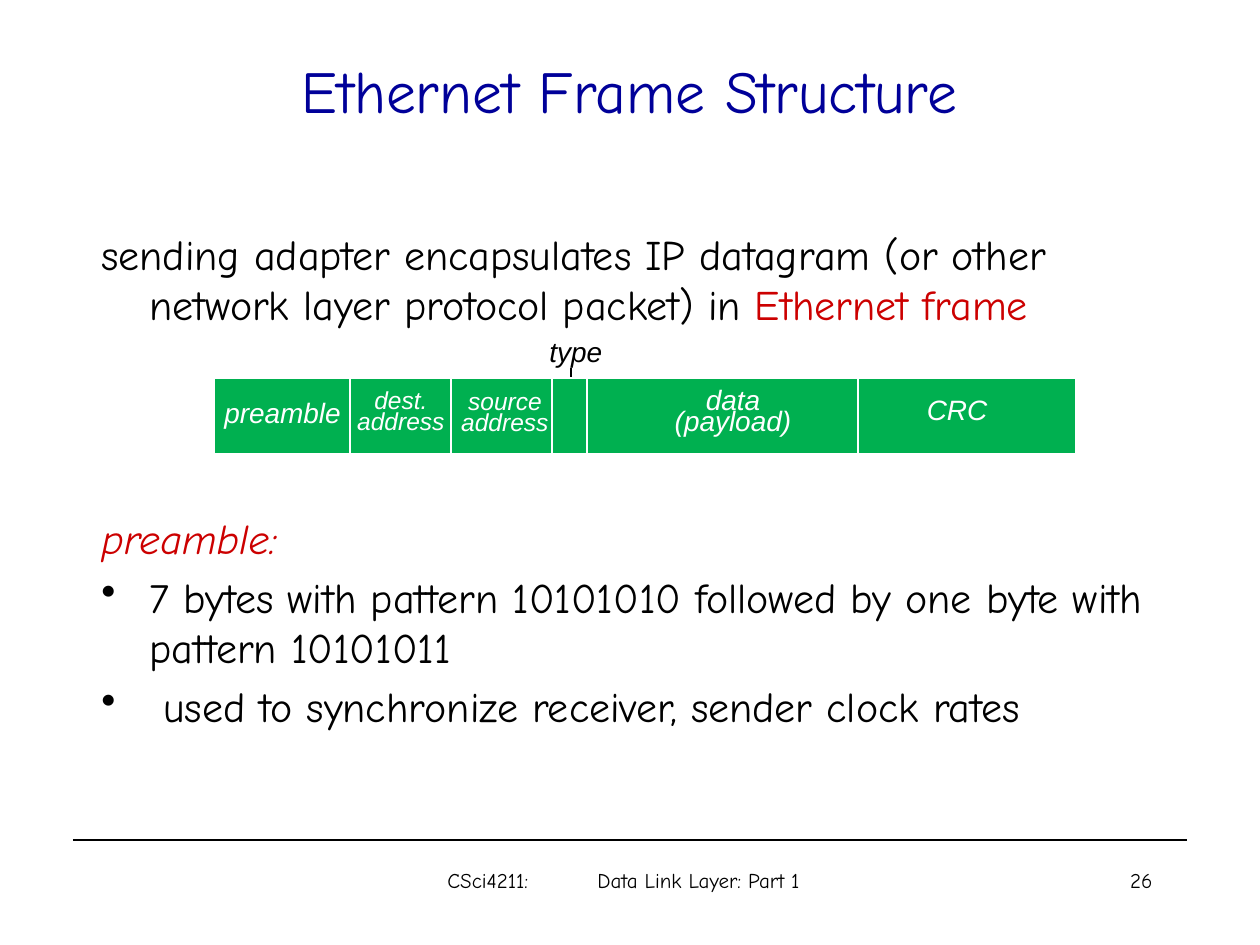
"""Build the Ethernet frame structure slide."""
from dataclasses import dataclass
from typing import NamedTuple

from lxml import etree
from pptx import Presentation, util as u
from pptx.dml.color import RGBColor
from pptx.enum import shapes, text
from pptx.oxml.ns import qn


@dataclass(frozen=True)
class Theme:
    black: str = "000000"
    white: str = "FFFFFF"
    navy: str = "000099"
    red: str = "CC0000"
    green: str = "00B050"
    face: str = "Comic Neue"
    label_face: str = "Arial"
    title_size: int = 34
    body_size: int = 24
    label_size: int = 16
    small_label_size: int = 14
    footer_size: int = 12


class Area(NamedTuple):
    left: int
    top: int
    width: int
    height: int


class Label(NamedTuple):
    lines: list[str]
    area: Area
    size: int


THEME = Theme()
FRAME = Area(214, 378, 862, 76)
DIVIDERS = [350, 451, 552, 587, 858]
LABELS = [
    Label(["dest.", "address"], Area(343, 387, 116, 57), THEME.small_label_size),
    Label(["source", "address"], Area(447, 388, 116, 57), THEME.small_label_size),
    Label(["data (payload)"], Area(638, 389, 190, 57), THEME.label_size),
    Label(["CRC"], Area(898, 399, 118, 37), THEME.label_size),
    Label(["preamble"], Area(209, 402, 147, 37), THEME.label_size),
]
BULLETS = [
    "7 bytes with pattern 10101010 followed by one byte with pattern 10101011",
    " used to synchronize receiver, sender clock rates",
]


def px(length: int) -> int:
    return u.Inches(length / 126)


def add_box(page, area: Area, anchor=text.MSO_ANCHOR.TOP):
    box = page.shapes.add_textbox(*map(px, area))
    box.text_frame.word_wrap = True
    box.text_frame.vertical_anchor = anchor
    return box.text_frame


def add_para(frame, align=text.PP_ALIGN.LEFT, before: float = 0, spacing=None):
    first = frame.paragraphs[0]
    para = frame.add_paragraph() if first.runs else first
    para.alignment = align
    para.space_before = u.Pt(before)
    if spacing:
        para.line_spacing = u.Pt(spacing)
    return para


def add_span(para, words: str, size: int = THEME.body_size, color: str = THEME.black,
             face: str = THEME.face, italic: bool = False) -> None:
    span = para.add_run()
    span.text = words
    span.font.size = u.Pt(size)
    span.font.name = face
    span.font.italic = italic
    span.font.color.rgb = RGBColor.from_string(color)


def add_line(page, start: tuple[int, int], end: tuple[int, int],
             color: str = THEME.black, weight: float = 0.75) -> None:
    line = page.shapes.add_connector(shapes.MSO_CONNECTOR.STRAIGHT, *map(px, start + end))
    line.line.color.rgb = RGBColor.from_string(color)
    line.line.width = u.Pt(weight)
    etree.SubElement(line._element.spPr, qn("a:effectLst"))


def hang(para, bullet: bool = False) -> None:
    props = para._p.get_or_add_pPr()
    props.set("marL", str(px(48)))
    props.set("indent", str(-px(48)))
    if bullet:
        etree.SubElement(props, qn("a:buChar"), char="•")


def add_body(page) -> None:
    frame = add_box(page, Area(89, 222, 1071, 598))
    para = add_para(frame, before=4.8)
    hang(para)
    add_span(para, "sending adapter encapsulates IP datagram "
                   "(or other network layer protocol packet) in ")
    add_span(para, "Ethernet frame", color=THEME.red)
    para = add_para(frame, before=105)
    hang(para)
    add_span(para, "preamble:", color=THEME.red, italic=True)
    for words in BULLETS:
        para = add_para(frame, before=4.8)
        hang(para, bullet=True)
        add_span(para, words)


def add_label(page, label: Label) -> None:
    frame = add_box(page, label.area)
    for words in label.lines:
        para = add_para(frame, text.PP_ALIGN.CENTER, spacing=12)
        add_span(para, words, label.size, THEME.white, THEME.label_face, True)


def add_frame_diagram(page) -> None:
    add_line(page, (571, 368), (571, 396))
    bar = page.shapes.add_shape(shapes.MSO_SHAPE.RECTANGLE, *map(px, FRAME))
    bar.shadow.inherit = False
    bar.fill.solid()
    bar.fill.fore_color.rgb = RGBColor.from_string(THEME.green)
    bar.line.color.rgb = RGBColor.from_string(THEME.white)
    bar.line.width = u.Pt(0.75)
    for x in DIVIDERS:
        add_line(page, (x, FRAME.top), (x, FRAME.top + FRAME.height), THEME.white, 1.5)
    for label in LABELS:
        add_label(page, label)
    para = add_para(add_box(page, Area(537, 328, 106, 47)))
    add_span(para, "type", THEME.label_size, face=THEME.label_face, italic=True)


def add_footer(page) -> None:
    add_line(page, (73, 840), (1187, 840))
    para = add_para(add_box(page, Area(903, 861, 262, 63)), text.PP_ALIGN.RIGHT)
    add_span(para, "26", THEME.footer_size)
    para = add_para(add_box(page, Area(435, 861, 394, 63)))
    stops = etree.SubElement(para._p.get_or_add_pPr(), qn("a:tabLst"))
    etree.SubElement(stops, qn("a:tab"), pos=str(px(150)), algn="l")
    add_span(para, "CSci4211:\tData Link Layer: Part 1", THEME.footer_size)


def main() -> None:
    deck = Presentation()
    deck.slide_width, deck.slide_height = px(1260), px(945)
    page = deck.slides.add_slide(deck.slide_layouts[6])
    title = add_box(page, Area(94, 48, 1071, 84), text.MSO_ANCHOR.MIDDLE)
    add_span(add_para(title, text.PP_ALIGN.CENTER), "Ethernet Frame Structure",
             THEME.title_size, THEME.navy)
    add_body(page)
    add_frame_diagram(page)
    add_footer(page)
    deck.save("out.pptx")


if __name__ == "__main__":
    main()
